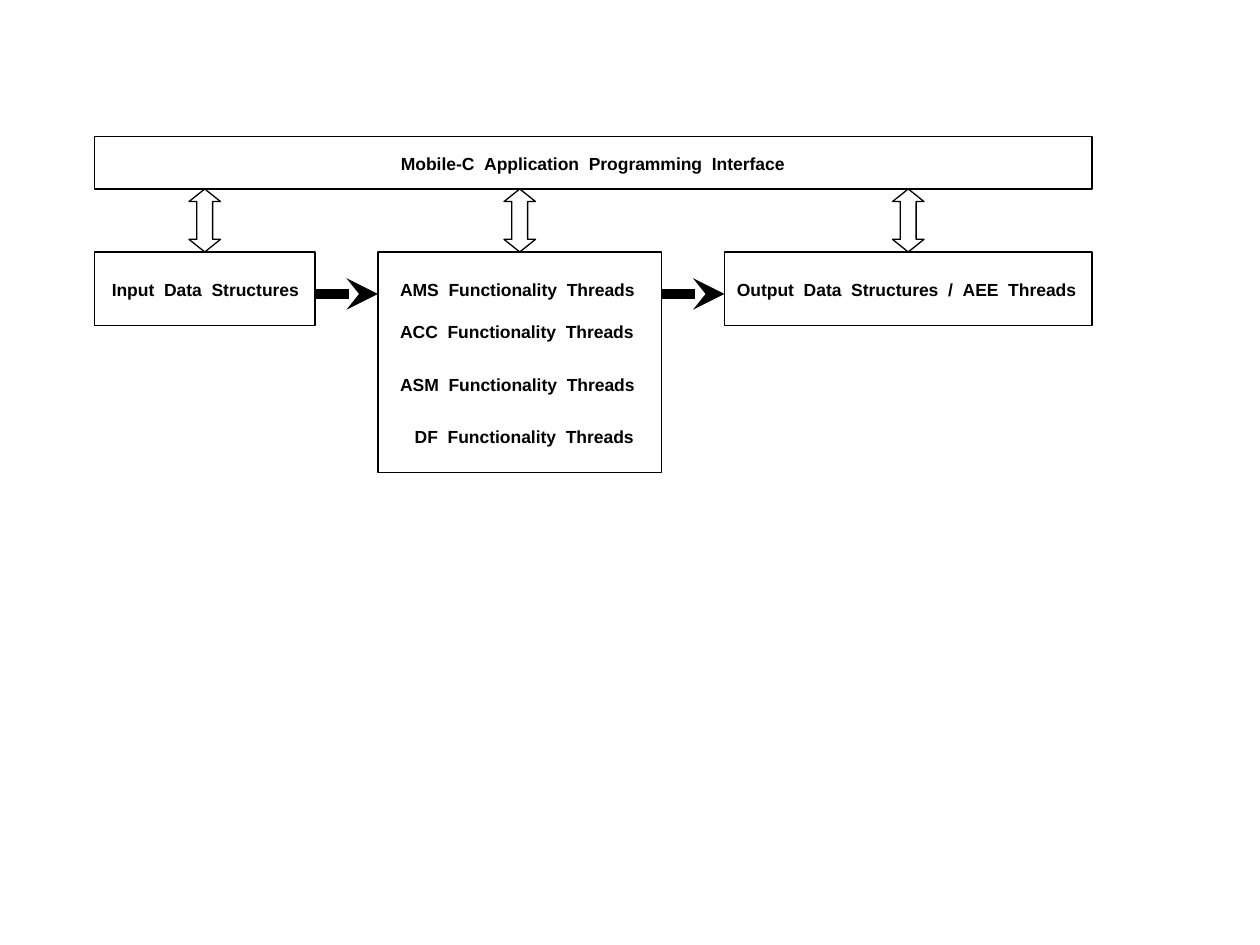
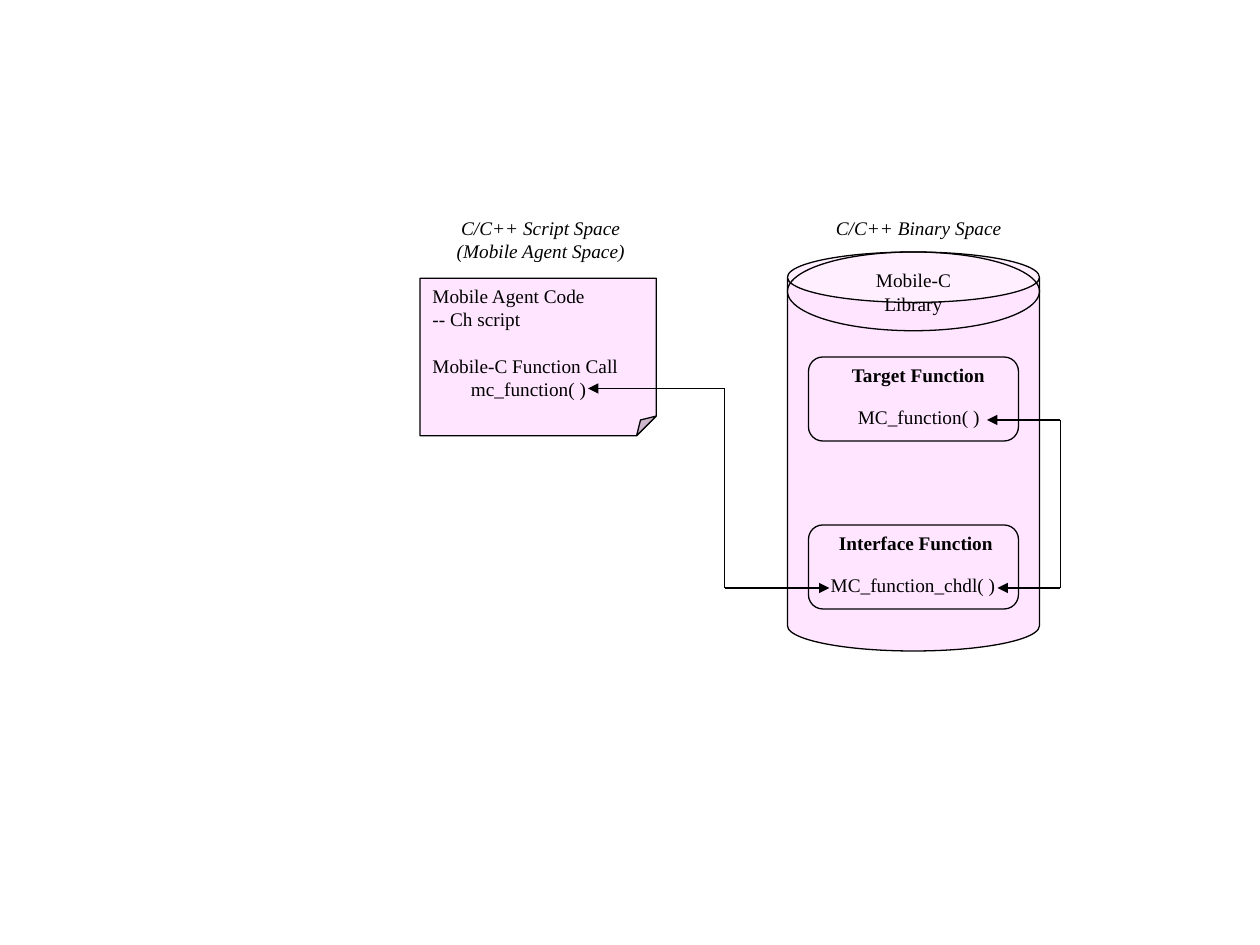
from dataclasses import dataclass

from pptx import Presentation
from pptx.dml.color import RGBColor
from pptx.enum.shapes import MSO_CONNECTOR, MSO_SHAPE
from pptx.enum.text import MSO_ANCHOR, PP_ALIGN
from pptx.oxml.ns import qn
from pptx.util import Pt
from lxml.etree import SubElement


@dataclass(frozen=True)
class Theme:
    ink: RGBColor = RGBColor(0x00, 0x00, 0x00)
    lilac: RGBColor = RGBColor(0xFF, 0xE5, 0xFF)
    block_font: str = "Arial"
    block_size: float = 10
    space_font: str = "Times New Roman"
    space_size: float = 11
    outline: float = 0.75
    call_line: float = 1
    flow_line: float = 6
    word_gap: float = 2.78


theme = Theme()


def outlined(slide, kind, left, top, width, height, fill=None, guides=None):
    """Add an outlined shape; guides maps adjustment names to fractions."""
    shape = slide.shapes.add_shape(kind, Pt(left), Pt(top), Pt(width), Pt(height))
    shape.shadow.inherit = False
    shape.line.color.rgb = theme.ink
    shape.line.width = Pt(theme.outline)
    if fill is None:
        shape.fill.background()
    else:
        shape.fill.solid()
        shape.fill.fore_color.rgb = fill
    if guides:
        geometry = shape._element.spPr.find(qn("a:prstGeom"))
        for old_list in geometry.findall(qn("a:avLst")):
            geometry.remove(old_list)
        guide_list = SubElement(geometry, qn("a:avLst"))
        for name, value in guides.items():
            SubElement(guide_list, qn("a:gd"), name=name, fmla=f"val {round(value * 100000)}")
    return shape


def write(frame, lines, font, size, align=PP_ALIGN.LEFT, bold=False, italic=False, word_gap=0):
    """Fill a frame with lines of (text, left indent, space before)."""
    frame.word_wrap = True
    frame.vertical_anchor = MSO_ANCHOR.TOP
    frame.margin_left = frame.margin_right = Pt(7.2)
    frame.margin_top = frame.margin_bottom = Pt(3.6)
    for number, (text, indent, before) in enumerate(lines):
        paragraph = frame.add_paragraph() if number else frame.paragraphs[0]
        paragraph.alignment = align
        if indent:
            paragraph._p.get_or_add_pPr().set("marL", str(Pt(indent)))
        if before:
            paragraph.space_before = Pt(before)
        # Widened spaces need runs of their own
        pieces = text.replace(" ", "| |").split("|") if word_gap else [text]
        for piece in pieces:
            run = paragraph.add_run()
            run.text = piece
            run.font.name = font
            run.font.size = Pt(size)
            run.font.bold = bold
            run.font.italic = italic
            run.font.color.rgb = theme.ink
            if piece == " ":
                run._r.get_or_add_rPr().set("spc", str(round(word_gap * 100)))


presentation = Presentation()
presentation.slide_width = Pt(720)
presentation.slide_height = Pt(540)
blank = presentation.slide_layouts[6]

# Slide 1: programming interface above three stages
architecture = presentation.slides.add_slide(blank)
outlined(architecture, MSO_SHAPE.RECTANGLE, 54, 78, 570, 30)
stages = [(54, 126, 42), (216, 162, 126), (414, 210, 42)]
for left, width, height in stages:
    outlined(architecture, MSO_SHAPE.RECTANGLE, left, 144, width, height)
    outlined(architecture, MSO_SHAPE.UP_DOWN_ARROW, left + width / 2 - 9, 108, 18, 36,
             guides={"adj1": 0.5, "adj2": 0.4})

block_labels = [
    ("Mobile-C Application Programming Interface", 222, 84, 234, 0),
    ("Input Data Structures", 54, 156, 126, 2.78),
    ("Output Data Structures / AEE Threads", 414, 156, 234, 0),
    ("AMS Functionality Threads", 216, 156, 156, 5.56),
    ("ACC Functionality Threads", 216, 180, 156, 5.56),
    ("ASM Functionality Threads", 216, 210, 156, 5.56),
    ("DF Functionality Threads", 216, 240, 156, 13.9),
]
for text, left, top, width, indent in block_labels:
    label = architecture.shapes.add_textbox(Pt(left), Pt(top), Pt(width), Pt(19.2))
    write(label.text_frame, [(text, indent, 0)], theme.block_font, theme.block_size,
          bold=True, word_gap=theme.word_gap)

# Slide 2: script space calling into binary space
calls = presentation.slides.add_slide(blank)
agent_code = outlined(calls, MSO_SHAPE.FOLDED_CORNER, 240, 159, 135, 90, theme.lilac,
                      {"adj": 0.125})
agent_lines = [
    ("Mobile Agent Code", 0, 0),
    ("-- Ch script", 0, 0),
    ("Mobile-C Function Call", 0, 13.2),
    ("mc_function( )", 22, 0),
]
write(agent_code.text_frame, agent_lines, theme.space_font, theme.space_size)

outlined(calls, MSO_SHAPE.CAN, 450, 144, 144, 228, theme.lilac, {"adj": 0.2})
outlined(calls, MSO_SHAPE.OVAL, 450, 144, 144, 45)
for top in (204, 300):
    outlined(calls, MSO_SHAPE.ROUNDED_RECTANGLE, 462, top, 120, 48, guides={"adj": 0.17})

space_labels = [
    ("C/C++ Script Space (Mobile Agent Space)", 240, 120, 138, 36, 0, False, True),
    ("C/C++ Binary Space", 468, 120, 114, 18, 0, False, True),
    ("Mobile-C Library", 486, 150, 72, 27, 0, False, False),
    ("Target Function", 456, 204, 132, 18, 5.5, True, False),
    ("MC_function( )", 468, 228, 114, 24, 0, False, False),
    ("Interface Function", 456, 300, 132, 18, 2.75, True, False),
    ("MC_function_chdl( )", 462, 324, 114, 24, 5.5, False, False),
]
for text, left, top, width, height, indent, bold, italic in space_labels:
    label = calls.shapes.add_textbox(Pt(left), Pt(top), Pt(width), Pt(height))
    write(label.text_frame, [(text, indent, 0)], theme.space_font, theme.space_size,
          PP_ALIGN.CENTER, bold, italic)

# Arrows of both slides: start, end, weight, arrowhead at the end
links = [
    (architecture, (180, 168), (216, 168), theme.flow_line, "stealth"),
    (architecture, (378, 168), (414, 168), theme.flow_line, "stealth"),
    (calls, (414, 222), (336, 222), theme.call_line, "triangle"),
    (calls, (414, 222), (414, 336), theme.call_line, None),
    (calls, (414, 336), (474, 336), theme.call_line, "triangle"),
    (calls, (606, 240), (564, 240), theme.call_line, "triangle"),
    (calls, (606, 336), (606, 240), theme.call_line, None),
    (calls, (606, 336), (570, 336), theme.call_line, "triangle"),
]
for slide, start, end, weight, arrowhead in links:
    link = slide.shapes.add_connector(MSO_CONNECTOR.STRAIGHT, *map(Pt, start + end))
    link.line.color.rgb = theme.ink
    link.line.width = Pt(weight)
    if arrowhead:
        SubElement(link.line._get_or_add_ln(), qn("a:tailEnd"), type=arrowhead)
    SubElement(link._element.spPr, qn("a:effectLst"))

presentation.save("out.pptx")
